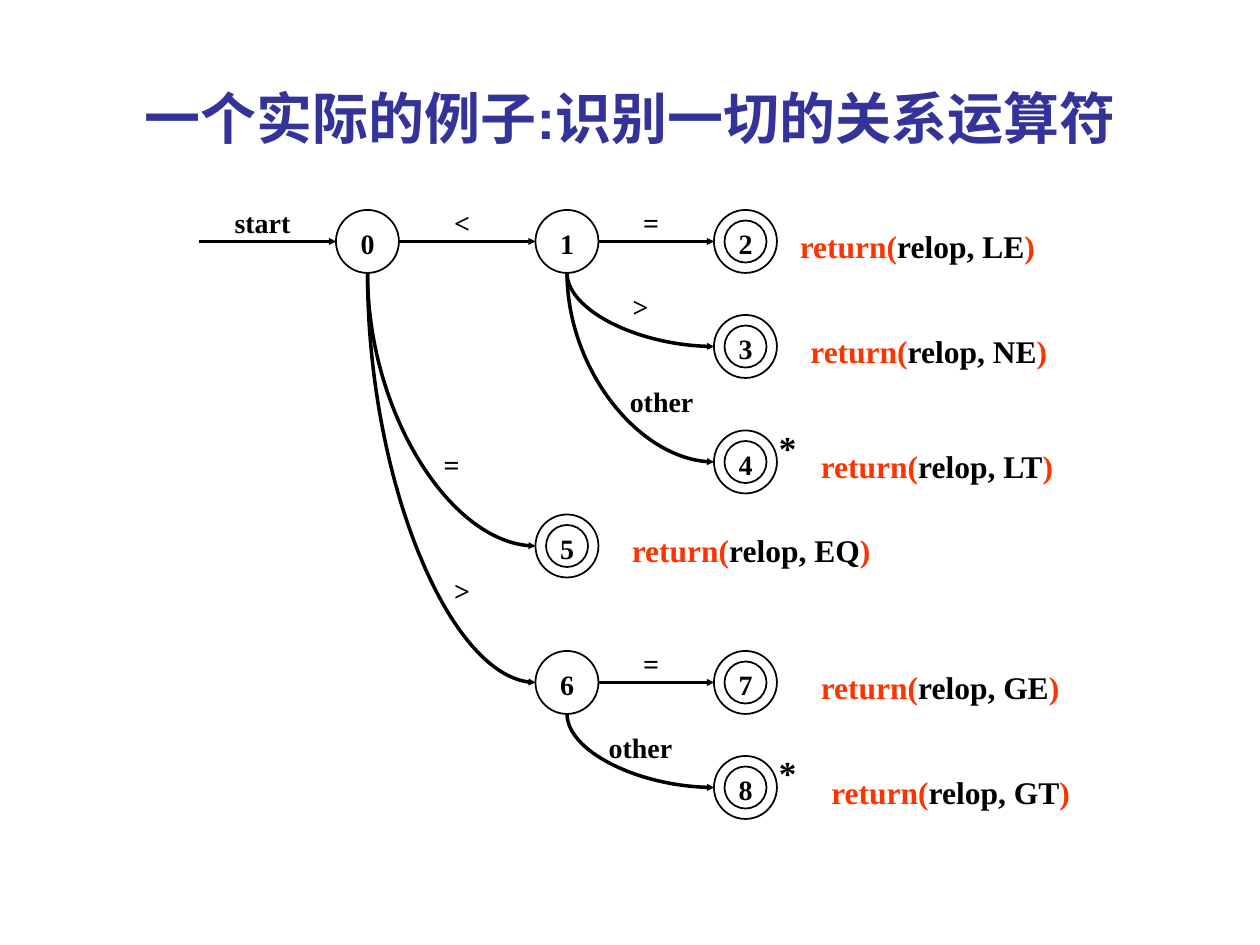
from lxml import etree
from pptx import Presentation
from pptx.dml.color import RGBColor
from pptx.enum.shapes import MSO_CONNECTOR, MSO_SHAPE
from pptx.enum.text import MSO_ANCHOR, MSO_AUTO_SIZE, PP_ALIGN
from pptx.oxml.ns import qn
from pptx.util import Emu, Pt

STRAIGHT, CURVE = MSO_CONNECTOR.STRAIGHT, MSO_CONNECTOR.CURVE
OVAL = MSO_SHAPE.OVAL
LEFT, CENTER = PP_ALIGN.LEFT, PP_ALIGN.CENTER
MIDDLE = MSO_ANCHOR.MIDDLE
NO_AUTOFIT = MSO_AUTO_SIZE.NONE

BLACK, RED, BLUE = "000000", "FF3300", "333399"
PX = 9525
RADIUS, INNER_RADIUS = 24, 16

TITLE = "一个实际的例子:识别一切的关系运算符"

# state: centre x, centre y
STATES = {
    "0": (280, 184), "1": (432, 184), "2": (568, 184),
    "3": (568, 264), "4": (568, 352), "5": (432, 416),
    "6": (432, 520), "7": (568, 520), "8": (568, 600),
}
# accepting state: returned token, gap from the state's centre to the text
ACCEPTING = {
    "2": ("LE", 32), "3": ("NE", 40), "4": ("LT", 48),
    "5": ("EQ", 40), "7": ("GE", 48), "8": ("GT", 56),
}
RETRACTING = ["4", "8"]
# from state, to state, label, label left, label top
TRANSITIONS = [
    ("0", "1", "<", 312, 152),
    ("1", "2", "=", 456, 152),
    ("1", "3", ">", 448, 216),
    ("1", "4", "other", 464, 288),
    ("0", "5", "=", 304, 336),
    ("0", "6", ">", 312, 432),
    ("6", "7", "=", 456, 488),
    ("6", "8", "other", 448, 552),
]
START_X = 152


def px(*values):
    return [Emu(round(value * PX)) for value in values]


def color(hex_string):
    return RGBColor.from_string(hex_string)


def add_run(paragraph, text, size, hex_string, font_name="Times New Roman"):
    run = paragraph.add_run()
    run.text = text
    run.font.name = font_name
    run.font.size = Pt(size)
    run.font.bold = True
    run.font.color.rgb = color(hex_string)


def add_text(slide, box, runs, size, alignment=CENTER):
    """Add a one-line text box; runs are (text, colour) pairs."""
    frame = slide.shapes.add_textbox(*px(*box)).text_frame
    frame.word_wrap = True
    paragraph = frame.paragraphs[0]
    paragraph.alignment = alignment
    for text, hex_string in runs:
        add_run(paragraph, text, size, hex_string)


def add_circle(slide, x, y, radius):
    circle = slide.shapes.add_shape(
        OVAL, *px(x - radius, y - radius, 2 * radius, 2 * radius))
    circle.shadow.inherit = False
    circle.fill.background()
    circle.line.color.rgb = color(BLACK)
    circle.line.width = Pt(1)


def add_arrow(slide, kind, *ends):
    arrow = slide.shapes.add_connector(kind, *px(*ends))
    arrow.line.color.rgb = color(BLACK)
    arrow.line.width = Pt(2)
    etree.SubElement(arrow.line._get_or_add_ln(), qn("a:tailEnd"),
                     type="triangle", w="sm", len="sm")
    etree.SubElement(arrow._element.spPr, qn("a:effectLst"))
    return arrow


def add_curved_arrow(slide, x1, y1, x2, y2):
    """Leave downwards and arrive rightwards: a quarter curve turned by 270°."""
    middle_x, middle_y = (x1 + x2) / 2, (y1 + y2) / 2
    half_width, half_height = (y2 - y1) / 2, (x2 - x1) / 2
    arrow = add_arrow(slide, CURVE,
                      middle_x + half_width, middle_y - half_height,
                      middle_x - half_width, middle_y + half_height)
    properties = arrow._element.spPr
    properties.find(qn("a:xfrm")).set("rot", str(270 * 60000))
    properties.find(qn("a:prstGeom")).set("prst", "curvedConnector2")


def add_title(slide):
    title = slide.shapes.title
    title.left, title.top, title.width, title.height = px(48, 29, 864, 120)
    frame = title.text_frame
    frame.auto_size = NO_AUTOFIT
    frame.vertical_anchor = MIDDLE
    paragraph = frame.paragraphs[0]
    paragraph.alignment = CENTER
    add_run(paragraph, TITLE, 32, BLUE, "Arial")


def add_transition(slide, source, target, label, left, top):
    x1, y1 = STATES[source]
    x2, y2 = STATES[target]
    if y1 == y2:
        add_arrow(slide, STRAIGHT, x1 + RADIUS, y1, x2 - RADIUS, y2)
    else:
        add_curved_arrow(slide, x1, y1 + RADIUS, x2 - RADIUS, y2)
    add_text(slide, (left, top, 80, 35), [(label, BLACK)], 16)


def add_state(slide, name, x, y):
    add_circle(slide, x, y, RADIUS)
    if name in ACCEPTING:
        add_circle(slide, x, y, INNER_RADIUS)
        token, gap = ACCEPTING[name]
        runs = [("return(", RED), (f"relop, {token}", BLACK), (")", RED)]
        add_text(slide, (x + gap, y - 16, 280, 38), runs, 18, LEFT)
    if name in RETRACTING:
        add_text(slide, (x + 16, y - 32, 32, 42), [("*", BLACK)], 20)
    add_text(slide, (x - 16, y - 16, 32, 35), [(name, BLACK)], 16)


def main():
    presentation = Presentation()
    presentation.slide_width, presentation.slide_height = px(960, 720)
    slide = presentation.slides.add_slide(presentation.slide_layouts[5])
    add_title(slide)

    start_state_x, start_y = STATES["0"]
    add_arrow(slide, STRAIGHT, START_X, start_y, start_state_x - RADIUS, start_y)
    add_text(slide, (160, 152, 80, 35), [("start", BLACK)], 16)
    for transition in TRANSITIONS:
        add_transition(slide, *transition)
    for name, (x, y) in STATES.items():
        add_state(slide, name, x, y)

    presentation.save("out.pptx")


if __name__ == "__main__":
    main()
